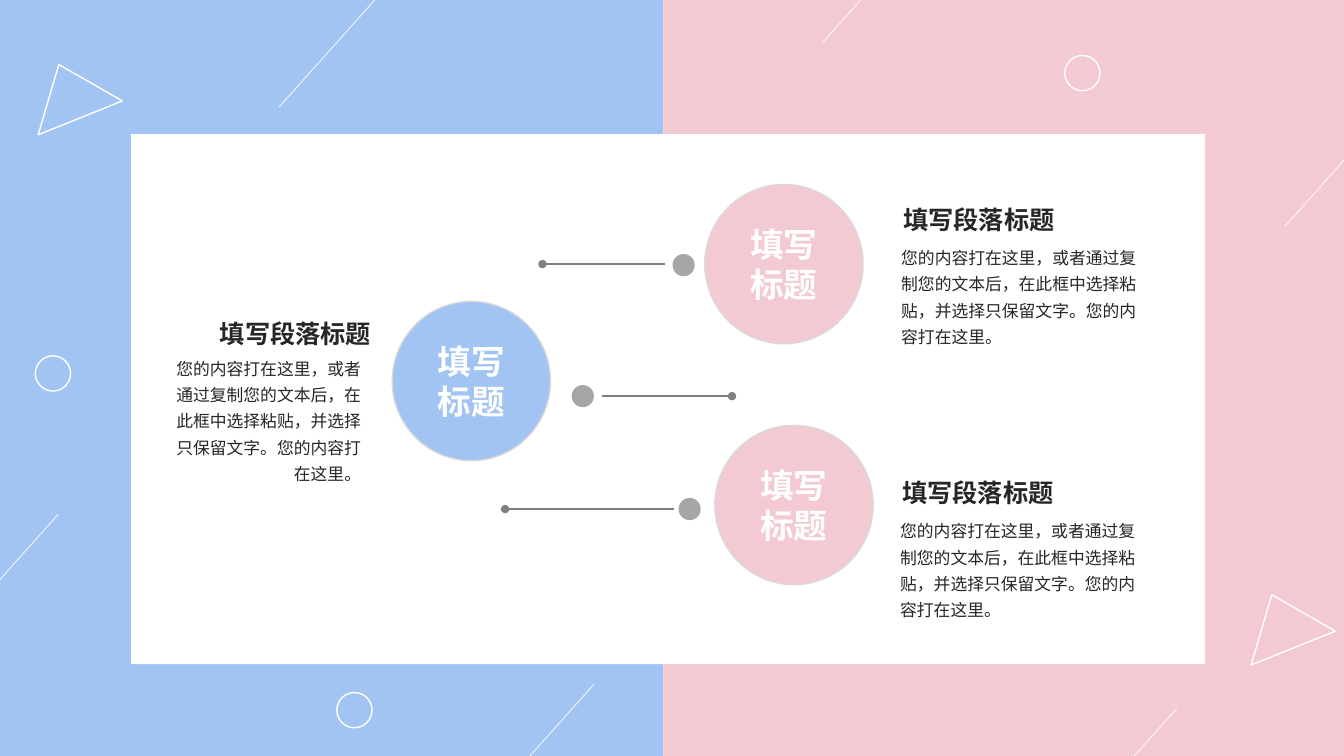
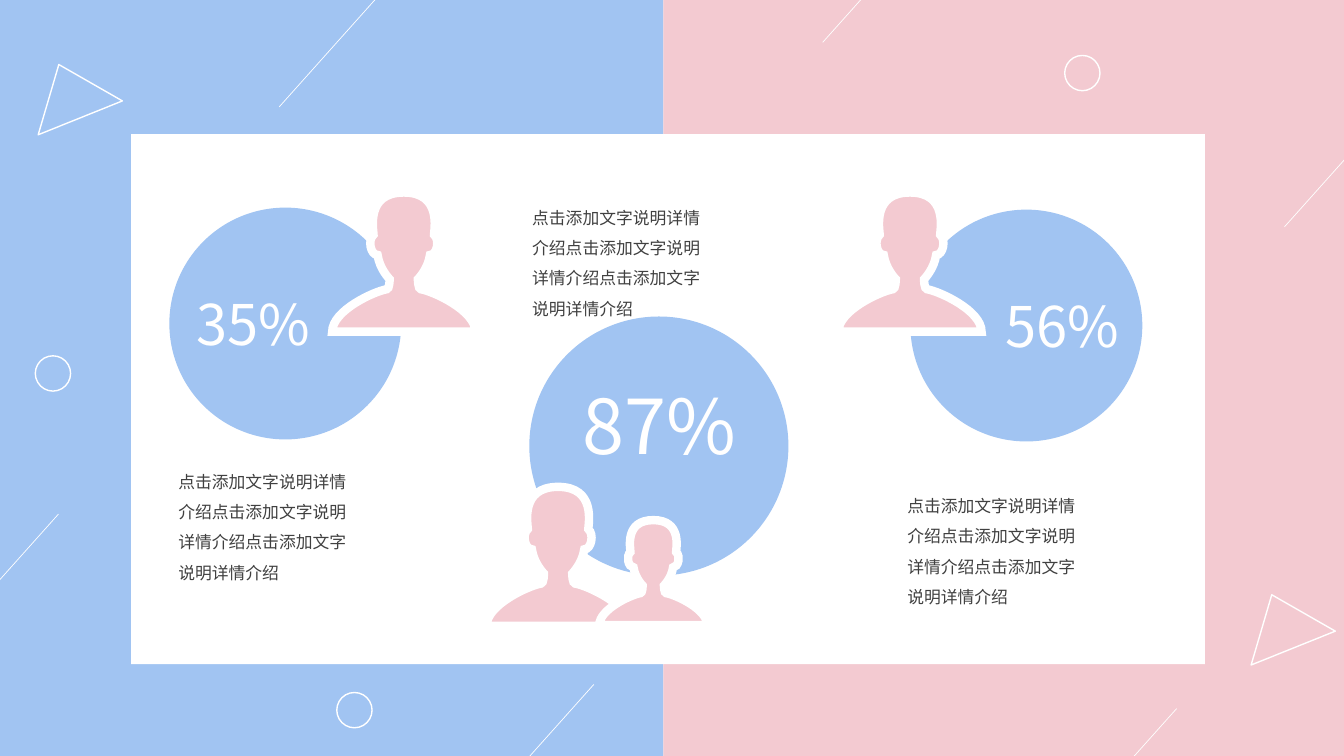
from dataclasses import dataclass

from lxml import etree
from pptx import Presentation
from pptx.dml.color import RGBColor
from pptx.enum.shapes import MSO_CONNECTOR, MSO_SHAPE
from pptx.enum.text import MSO_ANCHOR, MSO_AUTO_SIZE, PP_ALIGN
from pptx.oxml.ns import qn
from pptx.util import Inches, Pt

RECT, OVAL, TRIANGLE = MSO_SHAPE.RECTANGLE, MSO_SHAPE.OVAL, MSO_SHAPE.ISOSCELES_TRIANGLE
STRAIGHT = MSO_CONNECTOR.STRAIGHT
LEFT, CENTER, RIGHT = PP_ALIGN.LEFT, PP_ALIGN.CENTER, PP_ALIGN.RIGHT
MIDDLE = MSO_ANCHOR.MIDDLE
GROW = MSO_AUTO_SIZE.SHAPE_TO_FIT_TEXT


@dataclass(frozen=True)
class Theme:
    """Colours, font and type sizes of the deck."""
    blue: str = "A1C4F2"
    pink: str = "F3CAD1"
    white: str = "FFFFFF"
    rim: str = "D9D9D9"
    dot: str = "A6A6A6"
    rule: str = "808080"
    ink: str = "262626"
    note: str = "404040"
    font: str = "Noto Sans CJK SC"
    body: int = 12
    heading: int = 18
    node: int = 24
    percent: int = 40
    percent_big: int = 54


T = Theme()
WIDTH, HEIGHT, SPLIT = 13.33, 7.5, 6.58
RUN, RISE = 1.51, 1.69
BUST_W = 1.43
BUST_HALF = [
    (0.71, 1.38),
    (0.71, 1.17), (0.29, 0.98), (0.17, 0.96),
    (0.14, 0.96), (0.14, 0.86), (0.14, 0.86),
    (0.14, 0.86), (0.24, 0.76), (0.26, 0.62),
    (0.33, 0.62), (0.36, 0.47), (0.3, 0.42),
    (0.3, 0.37), (0.38, 0), (0, 0),
]
HEADING = "填写段落标题"
BODY = "您的内容打在这里，或者通过复制您的文本后，在此框中选择粘贴，并选择只保留文字。您的内容打在这里。"
NODE = ["填写", "标题"]
NOTE = ["点击添加文字说明详情", "介绍点击添加文字说明", "详情介绍点击添加文字", "说明详情介绍"]


def rgb(color):
    """Turn a hex string into a colour."""
    return RGBColor.from_string(color)


def paint(sp, fill=None, line=None, width=1):
    """Set fill and outline of a shape and drop its shadow."""
    sp.shadow.inherit = False
    if fill:
        sp.fill.solid()
        sp.fill.fore_color.rgb = rgb(fill)
    else:
        sp.fill.background()
    if line:
        sp.line.color.rgb = rgb(line)
        sp.line.width = Pt(width)
    else:
        sp.line.fill.background()
    return sp


def add_shape(shapes, kind, box, **look):
    """Add a painted preset shape."""
    return paint(shapes.add_shape(kind, *map(Inches, box)), **look)


def add_line(shapes, start, end, color, width, oval_end=False):
    """Add a straight line, with a round end if asked."""
    c = shapes.add_connector(STRAIGHT, *map(Inches, (*start, *end)))
    c.line.color.rgb = rgb(color)
    c.line.width = Pt(width)
    if oval_end:
        etree.SubElement(c.line._get_or_add_ln(), qn("a:tailEnd"), type="oval")
    etree.SubElement(c._element.spPr, qn("a:effectLst"))


def write(tf, lines, size, color, align=LEFT, bold=False, spacing=None):
    """Write one paragraph for each line."""
    for i, line in enumerate(lines):
        p = tf.paragraphs[0] if i == 0 else tf.add_paragraph()
        p.alignment = align
        if spacing:
            p.line_spacing = spacing
        r = p.add_run()
        r.text = line
        for key, value in {"size": Pt(size), "bold": bold, "name": T.font}.items():
            setattr(r.font, key, value)
        r.font.color.rgb = rgb(color)
        etree.SubElement(r.font._element, qn("a:ea"), typeface=T.font)


def add_text(shapes, box, lines, size, color, wrap=True, flush=False, **style):
    """Add a text box that grows with its text."""
    tf = shapes.add_textbox(*map(Inches, box)).text_frame
    tf.word_wrap = wrap
    tf.auto_size = GROW
    if flush:
        tf.margin_top = tf.margin_bottom = 0
    write(tf, lines, size, color, **style)


def backdrop(shapes):
    """Draw the two-colour ground, the panel and the outline ornaments."""
    add_shape(shapes, RECT, (0, 0, SPLIT, HEIGHT), fill=T.blue)
    add_shape(shapes, RECT, (SPLIT, 0, WIDTH - SPLIT, HEIGHT), fill=T.pink)
    add_shape(shapes, RECT, (1.3, 1.33, 10.65, 5.26), fill=T.white)
    for x, y in ((0.24, 0.62), (12.27, 5.88)):
        add_shape(shapes, TRIANGLE, (x, y, 0.9, 0.57), line=T.white).rotation = 338.1
    for x, y in ((0.35, 3.53), (3.34, 6.87), (10.56, 0.55)):
        add_shape(shapes, OVAL, (x, y, 0.35, 0.35), line=T.white)
    for x, y in ((2.77, 1.06), (8.16, 0.42), (4.38, 8.48),
                 (10.16, 8.72), (12.74, 2.25), (-0.93, 6.79)):
        add_line(shapes, (x, y), (x + RUN, y - RISE), T.white, 0.5)


def share_backdrop(s, layout):
    """Draw the backdrop once and keep it on the layout."""
    backdrop(s.shapes)
    for sp in list(s.shapes):
        layout.shapes._spTree.append(sp._element)


def link(shapes, x, y, line_y, start, end):
    """Draw a large dot at x, y and a line that ends in a small dot."""
    add_shape(shapes, OVAL, (x, y, 0.22, 0.22), fill=T.dot)
    add_line(shapes, (start, line_y), (end, line_y), T.rule, 1, oval_end=True)


def passage(shapes, x, y, w, h, lift=0.47, align=LEFT):
    """Place body text in a box and its heading just above."""
    add_text(shapes, (x, y, w, h), [BODY], T.body, T.ink, align=align, spacing=1.3)
    add_text(shapes, (x + 0.02, y - lift, 2.23, 0.4), [HEADING], T.heading, T.ink,
             flush=True, align=align, bold=True, spacing=1.5)


def node(shapes, x, y, fill):
    """Draw a labelled circle."""
    sp = add_shape(shapes, OVAL, (x, y, 1.57, 1.58), fill=fill, line=T.rim)
    sp.text_frame.vertical_anchor = MIDDLE
    write(sp.text_frame, NODE, T.node, T.white, align=CENTER, bold=True)


def curve(sp):
    """Turn every three line segments of a freeform into one Bézier curve."""
    lines = list(sp._element.iter(qn("a:lnTo")))
    for i in range(0, len(lines), 3):
        bezier = etree.Element(qn("a:cubicBezTo"))
        lines[i].addprevious(bezier)
        for segment in lines[i:i + 3]:
            bezier.append(segment[0])
            segment.getparent().remove(segment)


def bust(shapes, x, y, w):
    """Draw a haloed head and shoulders of width w."""
    scale = w / BUST_W
    outline = BUST_HALF + [(-px, py) for px, py in reversed(BUST_HALF[:-1])]
    pts = [(Inches(x + w / 2 + px * scale), Inches(y + py * scale)) for px, py in outline]
    fb = shapes.build_freeform(*pts[0])
    fb.add_line_segments(pts[1:], close=True)
    sp = paint(fb.convert_to_shape(), fill=T.pink, line=T.white, width=6)
    curve(sp)
    etree.SubElement(sp.line._get_or_add_ln(), qn("a:miter"), lim="800000")


def statistic(shapes, x, y, d, busts, label, text, size):
    """Group a circle, its busts and its percentage, placed from the circle's corner."""
    parts = shapes.add_group_shape().shapes
    add_shape(parts, OVAL, (x, y, d, d), fill=T.blue)
    for dx, dy, w in busts:
        bust(parts, x + dx, y + dy, w)
    dx, dy, w, h = label
    add_text(parts, (x + dx, y + dy, w, h), [text], size, T.white, align=CENTER)


def relation_slide(shapes):
    """Build the slide of three linked circles."""
    for spot in ((6.67, 2.52, 2.62, 6.6, 5.38), (5.67, 3.82, 3.93, 5.97, 7.26),
                 (6.73, 4.94, 5.05, 6.68, 5.01)):
        link(shapes, *spot)
    passage(shapes, 1.53, 3.45, 2.15, 1.41, lift=0.44, align=RIGHT)
    for x, y in ((8.84, 2.35), (8.83, 5.06)):
        passage(shapes, x, y, 2.54, 1.15)
    for x, y, fill in ((6.99, 1.83, T.pink), (3.89, 2.99, T.blue), (7.09, 4.22, T.pink)):
        node(shapes, x, y, fill)


def percent_slide(shapes):
    """Build the slide of three percentages with people."""
    for x, y in ((5.18, 1.91), (8.9, 4.77), (1.67, 4.53)):
        add_text(shapes, (x, y, 1.88, 1.62), NOTE, T.body, T.note, wrap=False, spacing=1.5)
    statistic(shapes, 1.68, 2.06, 2.3, [(1.61, -0.15, BUST_W)],
              (0.08, 0.76, 1.51, 0.77), "35%", T.percent)
    statistic(shapes, 9.03, 2.08, 2.3, [(-0.72, -0.17, BUST_W)],
              (0.75, 0.76, 1.51, 0.77), "56%", T.percent)
    statistic(shapes, 5.25, 3.14, 2.57, [(-0.43, 1.69, BUST_W), (0.69, 2.02, 1.08)],
              (0.28, 0.57, 2.01, 1.01), "87%", T.percent_big)


def main():
    """Build and save the deck."""
    prs = Presentation()
    prs.slide_width, prs.slide_height = Inches(WIDTH), Inches(HEIGHT)
    blank = prs.slide_layouts[6]
    first, second = (prs.slides.add_slide(blank) for _ in range(2))
    share_backdrop(first, blank)
    relation_slide(first.shapes)
    percent_slide(second.shapes)
    prs.save("out.pptx")


if __name__ == "__main__":
    main()
